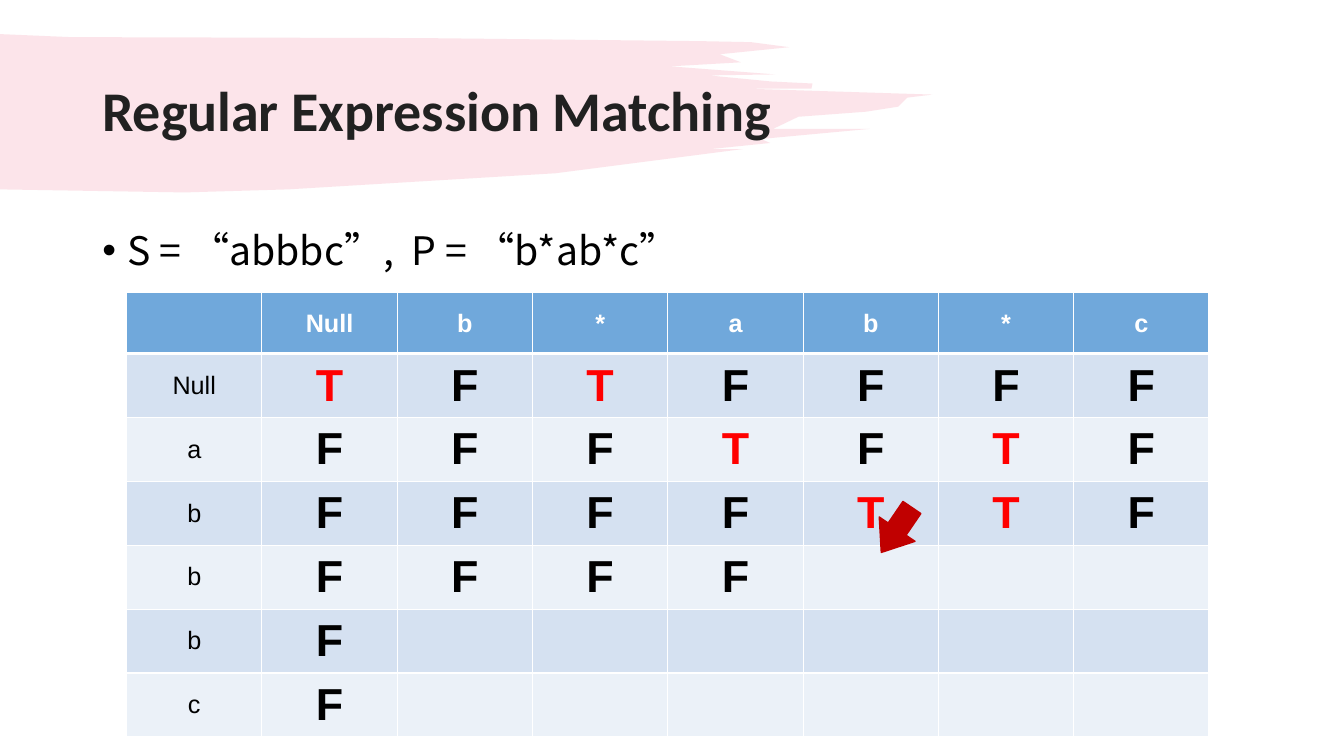
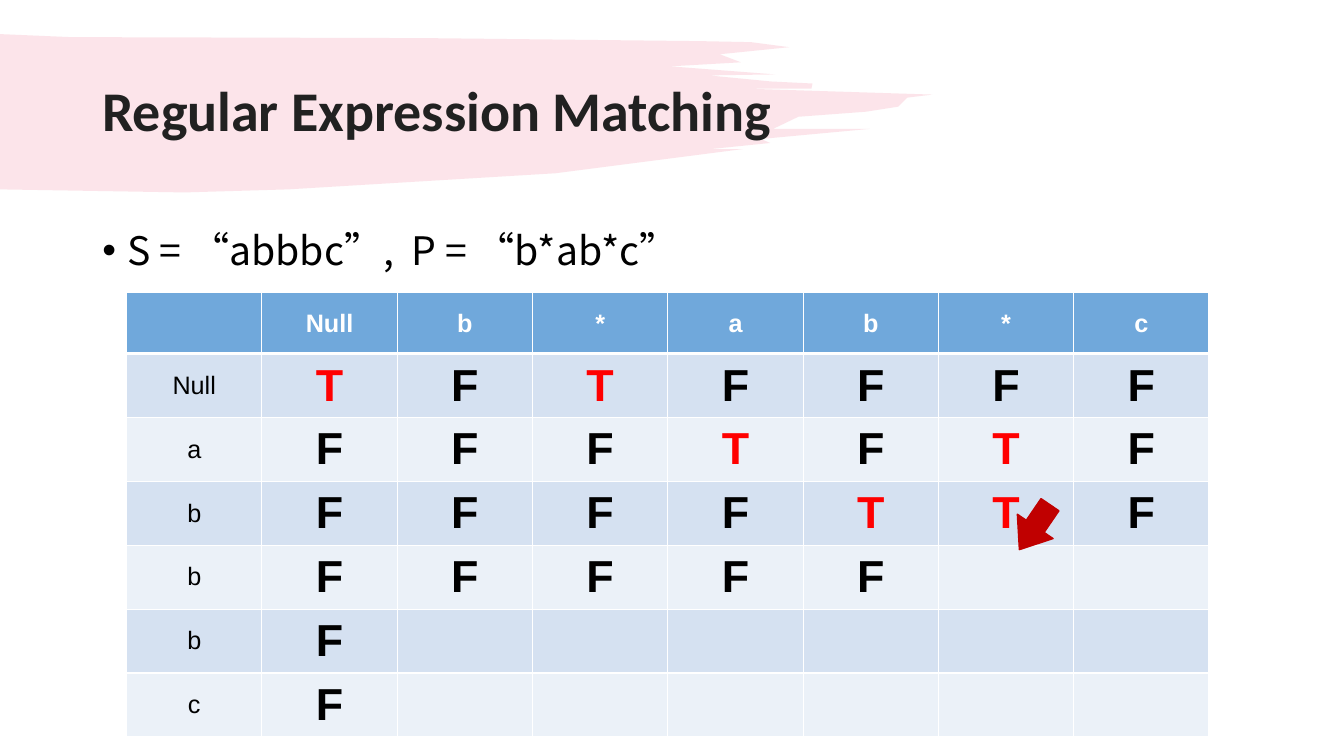
from lxml.etree import SubElement
from pptx import Presentation
from pptx.dml.color import RGBColor
from pptx.enum.shapes import MSO_SHAPE
from pptx.enum.text import MSO_ANCHOR, PP_ALIGN
from pptx.oxml.ns import qn
from pptx.util import Cm, Pt

PINK = RGBColor(0xF0, 0x7C, 0x98)
INK = RGBColor(0x21, 0x21, 0x21)
BLACK = RGBColor(0, 0, 0)
WHITE = RGBColor(0xFF, 0xFF, 0xFF)
RED = RGBColor(0xFF, 0, 0)
DARK_RED = RGBColor(0xC0, 0, 0)
HEADER_BLUE = RGBColor(0x70, 0xA8, 0xDB)
BAND_BLUE = RGBColor(0xD5, 0xE1, 0xF1)
PALE_BLUE = RGBColor(0xEB, 0xF1, 0xF8)

TITLE_FONT = "Calibri"
BODY_FONT = "Noto Sans CJK TC"
TABLE_FONT = "Arial"

BRUSH_WIDTH, BRUSH_HEIGHT = 925, 157
BRUSH_OUTLINE = [
    (0, 0), (70, 3), (421, 4), (694, 7), (745, 8), (783, 13),
    (714, 20), (735, 28), (665, 32), (769, 40), (703, 41), (765, 47),
    (806, 49), (805, 54), (736, 54), (925, 60), (900, 63), (891, 72),
    (859, 77), (792, 82), (767, 94), (863, 94), (755, 104), (764, 108),
    (705, 114), (737, 114), (551, 138), (286, 154), (183, 157), (0, 154),
]

TITLE = "Regular Expression Matching"
EXAMPLE = "S = “abbbc”,  P = “b*ab*c”"
PATTERN = ["", "Null", "b", "*", "a", "b", "*", "c"]
SUBJECT = ["Null", "a", "b", "b", "b", "c"]
FINISHED_ROWS = ["TFTFFFF", "FFFTFTF", "FFFFTTF"]
STARTED_ROWS = ["F", "F"]
STEPS = [
    ("FFFF", (Cm(22.05), Cm(12.67))),
    ("FFFFF", (Cm(25.53), Cm(12.6))),
]


def add_brush(slide, left, top, width, height):
    """Draw the translucent brush stroke behind the title."""
    points = [
        (left + width * x / BRUSH_WIDTH, top + height * y / BRUSH_HEIGHT)
        for x, y in BRUSH_OUTLINE
    ]
    builder = slide.shapes.build_freeform(*points[0])
    builder.add_line_segments(points[1:], close=True)
    brush = builder.convert_to_shape()
    brush.shadow.inherit = False
    brush.fill.solid()
    brush.fill.fore_color.rgb = PINK
    brush.line.fill.background()
    color = brush._element.spPr.find(qn("a:solidFill")).find(qn("a:srgbClr"))
    SubElement(color, qn("a:alpha"), val="20000")


def style_font(font, name, size, color, bold=False):
    """Set the face, size, colour and weight of a font."""
    font.name, font.size, font.bold = name, Pt(size), bold
    font.color.rgb = color


def add_title(slide, left, top, width, height):
    """Write the slide title, centred vertically in its box."""
    frame = slide.shapes.add_textbox(left, top, width, height).text_frame
    frame.word_wrap = True
    frame.vertical_anchor = MSO_ANCHOR.MIDDLE
    heading = frame.paragraphs[0]
    heading.text = TITLE
    heading.line_spacing = 0.9
    style_font(heading.font, TITLE_FONT, 40, INK, bold=True)


def add_example(slide, left, top, width, height):
    """Write the bulleted example strings."""
    frame = slide.shapes.add_textbox(left, top, width, height).text_frame
    frame.word_wrap = True
    example = frame.paragraphs[0]
    example.text = EXAMPLE
    properties = example._p.get_or_add_pPr()
    properties.set("marL", str(Cm(0.64)))
    properties.set("indent", str(-Cm(0.64)))
    SubElement(properties, qn("a:buFont"), typeface="Arial")
    SubElement(properties, qn("a:buChar"), char="•")
    style_font(example.font, BODY_FONT, 28, BLACK)
    run_properties = example.runs[0].font._element
    SubElement(run_properties, qn("a:ea"), typeface=BODY_FONT)


def set_borders(cell, top, bottom):
    """Give a cell white borders, with the top and bottom widths in points."""
    properties = cell._tc.get_or_add_tcPr()
    for side, points in (("L", 1), ("R", 1), ("T", top), ("B", bottom)):
        border = SubElement(properties, qn(f"a:ln{side}"), w=str(Pt(points)))
        fill = SubElement(border, qn("a:solidFill"))
        SubElement(fill, qn("a:srgbClr"), val=str(WHITE))


def fill_cell(cell, text, row, column):
    """Fill one cell according to its place in the matching table."""
    set_borders(cell, 3 if row == 1 else 1, 3 if row == 0 else 1)
    cell.fill.solid()
    if row == 0:
        cell.fill.fore_color.rgb = HEADER_BLUE
    else:
        cell.fill.fore_color.rgb = BAND_BLUE if row % 2 else PALE_BLUE
    cell.vertical_anchor = MSO_ANCHOR.MIDDLE
    if not text:
        return
    entry = cell.text_frame.paragraphs[0]
    entry.text = text
    entry.alignment = PP_ALIGN.CENTER
    if row == 0:
        style_font(entry.font, TABLE_FONT, 18, WHITE, bold=True)
    elif column == 0:
        style_font(entry.font, TABLE_FONT, 18, BLACK)
    else:
        style_font(entry.font, TABLE_FONT, 32, RED if text == "T" else BLACK, bold=True)


def add_matching_table(slide, left, top, width, height, results):
    """Draw the matching table with the results known so far."""
    rows = [PATTERN] + [[letter, *row] for letter, row in zip(SUBJECT, results)]
    table = slide.shapes.add_table(
        len(rows), len(PATTERN), left, top, width, height
    ).table
    for r, entries in enumerate(rows):
        padded = entries + [""] * (len(PATTERN) - len(entries))
        for c, text in enumerate(padded):
            fill_cell(table.cell(r, c), text, r, c)


def add_step_arrow(slide, left, top, width, height):
    """Point from the cell above to the cell being worked out."""
    arrow = slide.shapes.add_shape(MSO_SHAPE.DOWN_ARROW, left, top, width, height)
    arrow.adjustments[0] = 0.5
    arrow.adjustments[1] = 0.65
    arrow.rotation = 34.3
    arrow.shadow.inherit = False
    arrow.fill.solid()
    arrow.fill.fore_color.rgb = DARK_RED
    arrow.line.color.rgb = DARK_RED
    arrow.line.width = Pt(1)


def add_step_slide(deck, current_row, arrow_place):
    """Build one step of the matching example."""
    slide = deck.slides.add_slide(deck.slide_layouts[6])
    add_brush(slide, Cm(0), Cm(0.86), Cm(23.5), Cm(3.99))
    add_title(slide, Cm(2.33), Cm(1.02), Cm(29.21), Cm(3.68))
    add_example(slide, Cm(2.33), Cm(5.59), Cm(29.21), Cm(11.56))
    results = FINISHED_ROWS + [current_row] + STARTED_ROWS
    add_matching_table(slide, Cm(3.19), Cm(7.38), Cm(27.28), Cm(10.71), results)
    add_step_arrow(slide, *arrow_place, Cm(1.09), Cm(1.37))


def main():
    """Build and save the deck."""
    deck = Presentation()
    deck.slide_width, deck.slide_height = Cm(33.87), Cm(19.05)
    for current_row, arrow_place in STEPS:
        add_step_slide(deck, current_row, arrow_place)
    deck.save("out.pptx")


if __name__ == "__main__":
    main()
